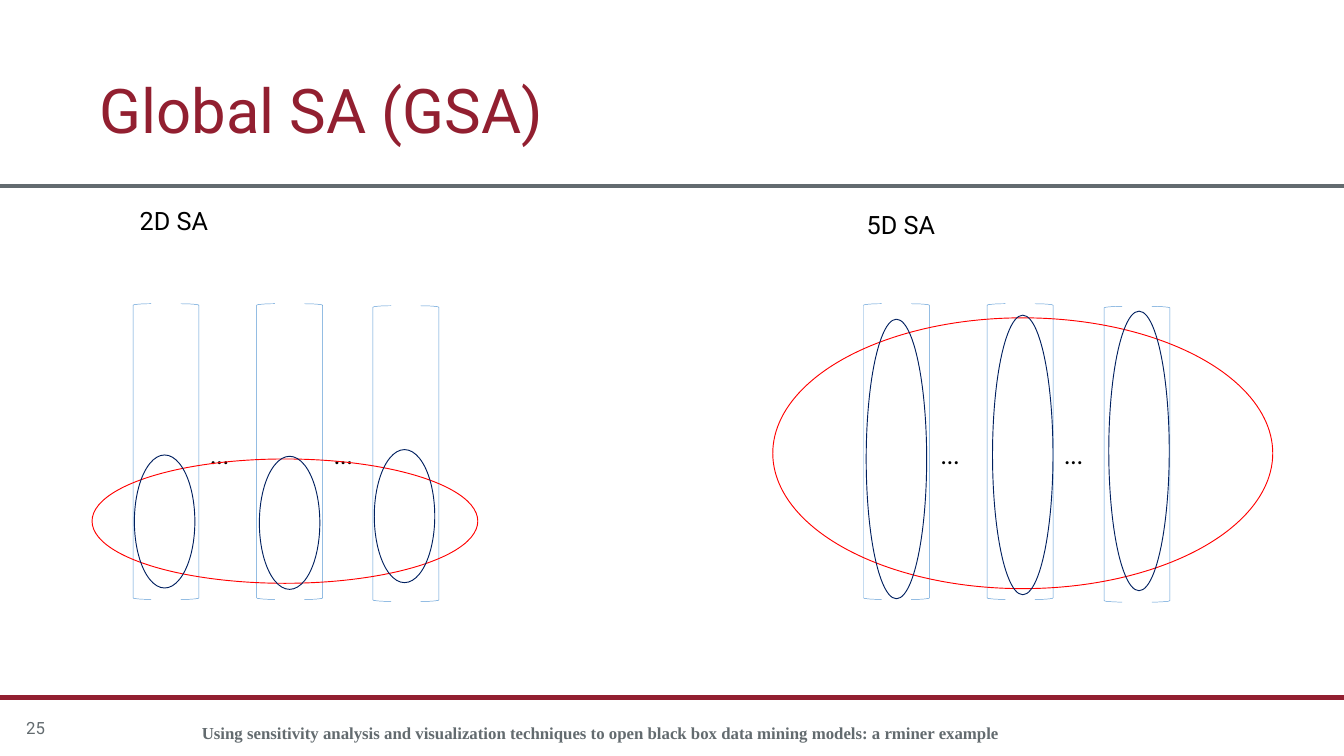
"""Build the Global SA slide: bracketed columns with ellipses for 2D and 5D SA."""
from lxml import etree
from pptx import Presentation, util as u
from pptx.dml.color import RGBColor
from pptx.enum import shapes, text
from pptx.oxml.ns import qn

RED, GRAY = "921F30", "636B6F"
TITLE = "Global SA (GSA)"
FOOT = ("Using sensitivity analysis and visualization techniques to open "
        "black box data mining models: a rminer example")
RULES = [(10.38, RED, 6), (2.77, GRAY, 4.5)]
PANELS = [
    {"label": "2D SA", "at": (1.98, 3), "cols": [(1.98, 4.52), (3.82, 4.52), (5.55, 4.55)],
     "group": (1.37, 6.83, 5.74, 1.85), "tall": 1.98,
     "mids": [(2.45, 7.76), (4.31, 7.78), (6.02, 7.68)]},
    {"label": "5D SA", "at": (12.8, 3.07), "cols": [(12.85, 4.52), (14.69, 4.52), (16.43, 4.56)],
     "group": (11.5, 4.73, 7.44, 4.03), "tall": 4.16,
     "mids": [(13.34, 6.83), (15.22, 6.77), (16.95, 6.71)]},
]
ARM, HIGH, SPAN, WIDE = 0.27, 4.4, 0.71, 0.9
DOTS = {"name": "Calibri", "size": 27, "color": "000000"}
LABEL = {**DOTS, "name": "Roboto"}
HEAD = {"name": "Roboto", "size": 66, "color": RED}
PAGE = {"name": "Roboto", "size": 18, "color": GRAY}
NOTE = {"name": "Times New Roman", "size": 18, "color": GRAY, "bold": True}
MID = text.MSO_ANCHOR.MIDDLE


def paint(item, color):
    item.rgb = RGBColor.from_string(color)


def write(box, words, look, anchor):
    frame = box.text_frame
    frame.word_wrap = True
    frame.vertical_anchor = anchor
    frame.text = words
    para = frame.paragraphs[0]
    font = para.runs[0].font
    for key, val in look.items():
        if key == "color":
            paint(font.color, val)
        else:
            setattr(font, key, u.Pt(val) if key == "size" else val)
    return para


def label(slide, at, words, look, anchor=text.MSO_ANCHOR.TOP):
    box = slide.shapes.add_textbox(*map(u.Inches, at))
    para = write(box, words, look, anchor)
    if anchor != MID:
        box.text_frame.auto_size = text.MSO_AUTO_SIZE.SHAPE_TO_FIT_TEXT
    return para


def trace(slide, kind, at, color, width, turn=0):
    shape = slide.shapes.add_shape(kind, *map(u.Inches, at))
    shape.shadow.inherit = False
    shape.fill.background()
    paint(shape.line.color, color)
    shape.line.width = u.Pt(width)
    shape.rotation = turn


def rule(slide, y, color, width):
    line = slide.shapes.add_connector(
        shapes.MSO_CONNECTOR.STRAIGHT, *map(u.Inches, (20, y, 0, y)))
    paint(line.line.color, color)
    line.line.width = u.Pt(width)
    etree.SubElement(line._element.spPr, qn("a:effectLst"))


def panel(slide, data):
    kind = shapes.MSO_SHAPE
    for x, y in data["cols"]:
        for left, turn in ((x, 0), (x + SPAN, 180)):
            trace(slide, kind.LEFT_BRACKET, (left, y, ARM, HIGH), "5B9BD5", 0.5, turn)
    for x, y in data["cols"][:-1]:
        label(slide, (x + 1.06, 6.49, 0.74, 0.56), "…", DOTS)
    label(slide, (*data["at"], 2.44, 0.56), data["label"], LABEL)
    trace(slide, kind.OVAL, data["group"], "FF0000", 1)
    tall = data["tall"]
    for x, y in data["mids"]:
        at = (x - tall / 2, y - WIDE / 2, tall, WIDE)
        trace(slide, kind.OVAL, at, "002060", 1, 270)


def main():
    deck = Presentation()
    deck.slide_width, deck.slide_height = u.Inches(20), u.Inches(11.25)
    slide = deck.slides.add_slide(deck.slide_layouts[5])
    for item in RULES:
        rule(slide, *item)
    title = slide.shapes.title
    for key, val in zip(("left", "top", "width", "height"), (1.38, 0.6, 17.25, 2.17)):
        setattr(title, key, u.Inches(val))
    para = write(title, TITLE, HEAD, MID)
    para.alignment = text.PP_ALIGN.LEFT
    para.line_spacing = 0.9
    para = label(slide, (1.81, 10.53, 14.25, 0.6), FOOT, NOTE, MID)
    para.alignment = text.PP_ALIGN.CENTER
    para.line_spacing = 1.5
    para.space_after = u.Pt(8)
    label(slide, (0.29, 10.53, 1.24, 0.6), "25", PAGE, MID)
    for data in PANELS:
        panel(slide, data)
    deck.save("out.pptx")


if __name__ == "__main__":
    main()
